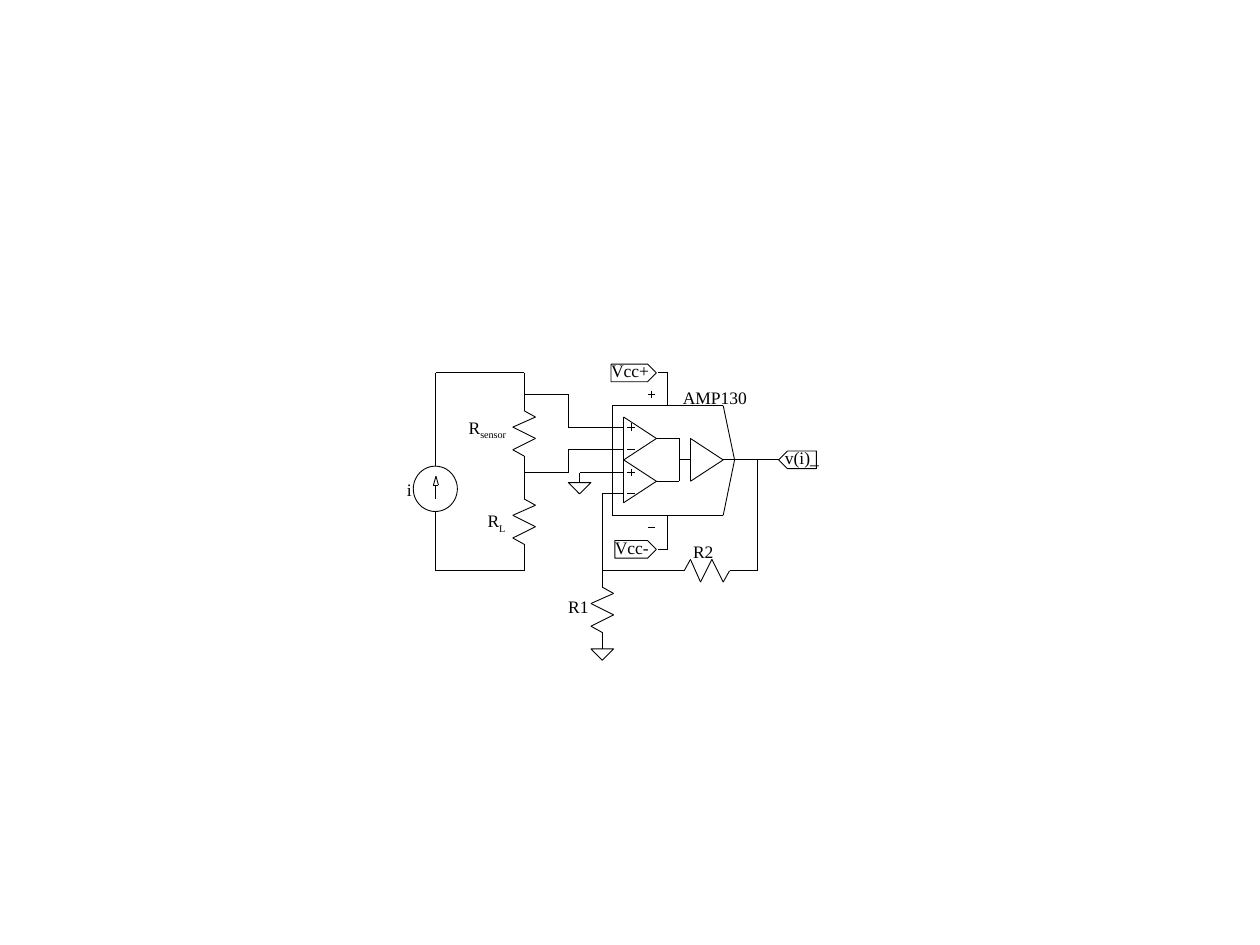
"""Draw a current-sensing amplifier circuit on one slide."""
from dataclasses import dataclass
from itertools import pairwise

from lxml.etree import SubElement
from pptx import Presentation
from pptx.dml.color import RGBColor
from pptx.enum.shapes import MSO_CONNECTOR, MSO_SHAPE
from pptx.enum.text import MSO_AUTO_SIZE
from pptx.oxml.ns import qn
from pptx.util import Inches, Pt


@dataclass(frozen=True)
class Theme:
    ink: RGBColor = RGBColor(0, 0, 0)
    font: str = "Times New Roman"
    label_size: float = 10
    stroke: float = 0.5
    subscript: int = -25000


THEME = Theme()


def style_line(line):
    line.color.rgb = THEME.ink
    line.width = Pt(THEME.stroke)


def wire(slide, *points):
    for start, end in pairwise(points):
        segment = slide.shapes.add_connector(
            MSO_CONNECTOR.STRAIGHT, *(Inches(value) for value in (*start, *end)))
        style_line(segment.line)
        SubElement(segment._element.spPr, qn("a:effectLst"))


def style_outline(shape):
    shape.shadow.inherit = False
    shape.fill.background()
    style_line(shape.line)


def polygon(slide, *points):
    corners = [(Inches(x), Inches(y)) for x, y in points]
    builder = slide.shapes.build_freeform(*corners[0])
    builder.add_line_segments(corners[1:], close=True)
    style_outline(builder.convert_to_shape())


def label(slide, text, left, top, width, height=0.19, subscript="",
          size=THEME.label_size, font=THEME.font, color=THEME.ink):
    box = slide.shapes.add_textbox(*(Inches(v) for v in (left, top, width, height)))
    frame = box.text_frame
    frame.word_wrap = False
    frame.auto_size = MSO_AUTO_SIZE.SHAPE_TO_FIT_TEXT
    frame.margin_left = frame.margin_right = frame.margin_top = frame.margin_bottom = 0
    for content, baseline in ((text, 0), (subscript, THEME.subscript)):
        if not content:
            continue
        run = frame.paragraphs[0].add_run()
        run.text = content
        run.font.size = Pt(size)
        run.font.name = font
        run.font.color.rgb = color
        if baseline:
            run._r.get_or_add_rPr().set("baseline", str(baseline))


def resistor(slide, x, y, horizontal=False):
    zigzag = ((0, 0), (0.04, 0), (0.09, 0.09), (0.17, -0.09), (0.26, 0.09),
              (0.35, -0.09), (0.4, 0), (0.44, 0))
    if horizontal:
        wire(slide, *((x + along, y - side) for along, side in zigzag))
    else:
        wire(slide, *((x + side, y + along) for along, side in zigzag))


def ground(slide, x, y):
    polygon(slide, (x - 0.09, y), (x + 0.09, y), (x, y + 0.09))


def port(slide, tip, y, back):
    shoulder = tip + (0.07 if back > tip else -0.07)
    top, bottom = y - 0.07, y + 0.07
    polygon(slide, (tip, y), (shoulder, top), (back, top), (back, bottom),
            (shoulder, bottom))


def amplifier(slide, left, y):
    tip = (left + 0.26, y)
    wire(slide, tip, (left, y + 0.17), (left, y - 0.17), tip)


def sign(slide, x, y, plus):
    wire(slide, (x - 0.03, y), (x + 0.03, y))
    if plus:
        wire(slide, (x, y - 0.03), (x, y + 0.03))


def current_source(slide, x, y):
    circle = slide.shapes.add_shape(
        MSO_SHAPE.OVAL, Inches(x - 0.18), Inches(y - 0.18), Inches(0.35), Inches(0.36))
    style_outline(circle)
    wire(slide, (x, y - 0.1), (x - 0.02, y - 0.03), (x + 0.02, y - 0.03), (x, y - 0.1))
    wire(slide, (x, y - 0.03), (x, y + 0.08))


def draw_amplifier_block(slide):
    wire(slide, (4.86, 3.22), (5.74, 3.22), (5.83, 3.65), (5.74, 4.09),
         (4.86, 4.09), (4.86, 3.22))
    for left, y in ((4.95, 3.48), (4.95, 3.82), (5.48, 3.65)):
        amplifier(slide, left, y)
    wire(slide, (5.21, 3.48), (5.39, 3.48), (5.39, 3.82), (5.21, 3.82))
    wire(slide, (5.39, 3.65), (5.48, 3.65))
    for y, plus in ((3.39, True), (3.57, False), (3.75, True), (3.92, False)):
        sign(slide, 5.01, y, plus)
        wire(slide, (4.86, y), (4.95, y))
    sign(slide, 5.17, 3.13, plus=True)
    sign(slide, 5.17, 4.19, plus=False)
    label(slide, "AMP130", 5.42, 3.07, 0.53)


def draw_sensor_loop(slide):
    wire(slide, (3.46, 3.7), (3.46, 2.96), (4.16, 2.96), (4.16, 3.22))
    wire(slide, (4.16, 3.65), (4.16, 3.92))
    wire(slide, (4.16, 4.36), (4.16, 4.53), (3.46, 4.53), (3.46, 4.06))
    current_source(slide, 3.46, 3.88)
    label(slide, "i", 3.23, 3.8, 0.04, 0.17)
    resistor(slide, 4.16, 3.22)
    label(slide, "R", 3.72, 3.31, 0.33, 0.17, subscript="sensor")
    resistor(slide, 4.16, 3.92)
    label(slide, "R", 3.87, 4.05, 0.15, 0.17, subscript="L")
    wire(slide, (4.16, 3.13), (4.51, 3.13), (4.51, 3.39), (4.86, 3.39))
    wire(slide, (4.16, 3.75), (4.51, 3.75), (4.51, 3.57), (4.86, 3.57))


def draw_feedback(slide):
    wire(slide, (5.73, 3.65), (6.18, 3.65))
    wire(slide, (6.01, 3.65), (6.01, 4.53), (5.83, 4.53))
    resistor(slide, 5.39, 4.53, horizontal=True)
    label(slide, "R2", 5.5, 4.29, 0.22)
    wire(slide, (5.39, 4.53), (4.78, 4.53))
    wire(slide, (4.86, 3.92), (4.78, 3.92), (4.78, 4.62))
    resistor(slide, 4.78, 4.62)
    label(slide, "R1", 4.51, 4.73, 0.22)
    wire(slide, (4.78, 5.06), (4.78, 5.15))
    ground(slide, 4.78, 5.15)
    wire(slide, (4.86, 3.75), (4.6, 3.75), (4.6, 3.83))
    ground(slide, 4.6, 3.83)


def draw_ports(slide):
    for name, y, left, pin in (("Vcc+", 2.96, 4.85, 3.22), ("Vcc-", 4.36, 4.88, 4.09)):
        port(slide, 5.21, y, left)
        label(slide, name, left, y - 0.1, 5.2 - left)
        wire(slide, (5.22, y), (5.3, y), (5.3, pin))
    port(slide, 6.18, 3.65, 6.48)
    label(slide, "v(i)_", 6.23, 3.55, 0.27, 0.17)


def main():
    deck = Presentation()
    deck.slide_width, deck.slide_height = Inches(10), Inches(7.5)
    circuit = deck.slides.add_slide(deck.slide_layouts[6])
    draw_amplifier_block(circuit)
    draw_sensor_loop(circuit)
    draw_feedback(circuit)
    draw_ports(circuit)
    deck.save("out.pptx")


main()
